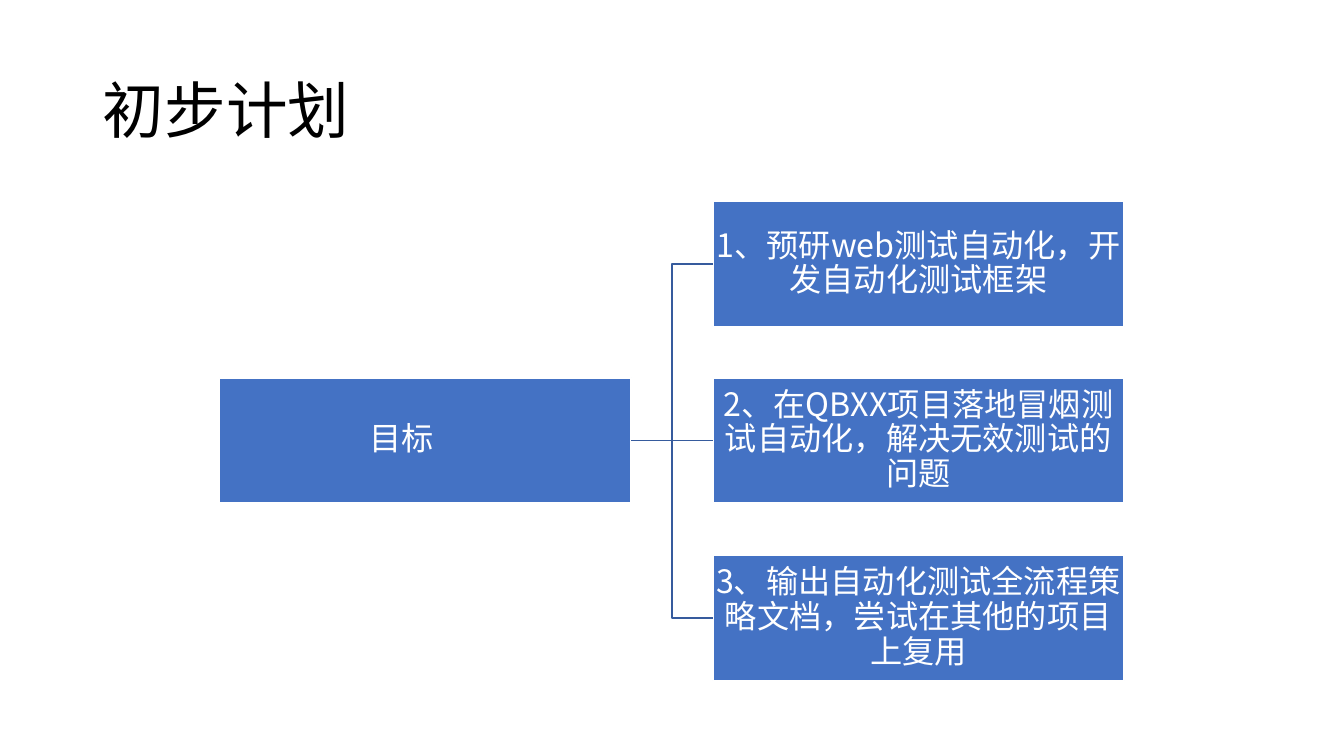
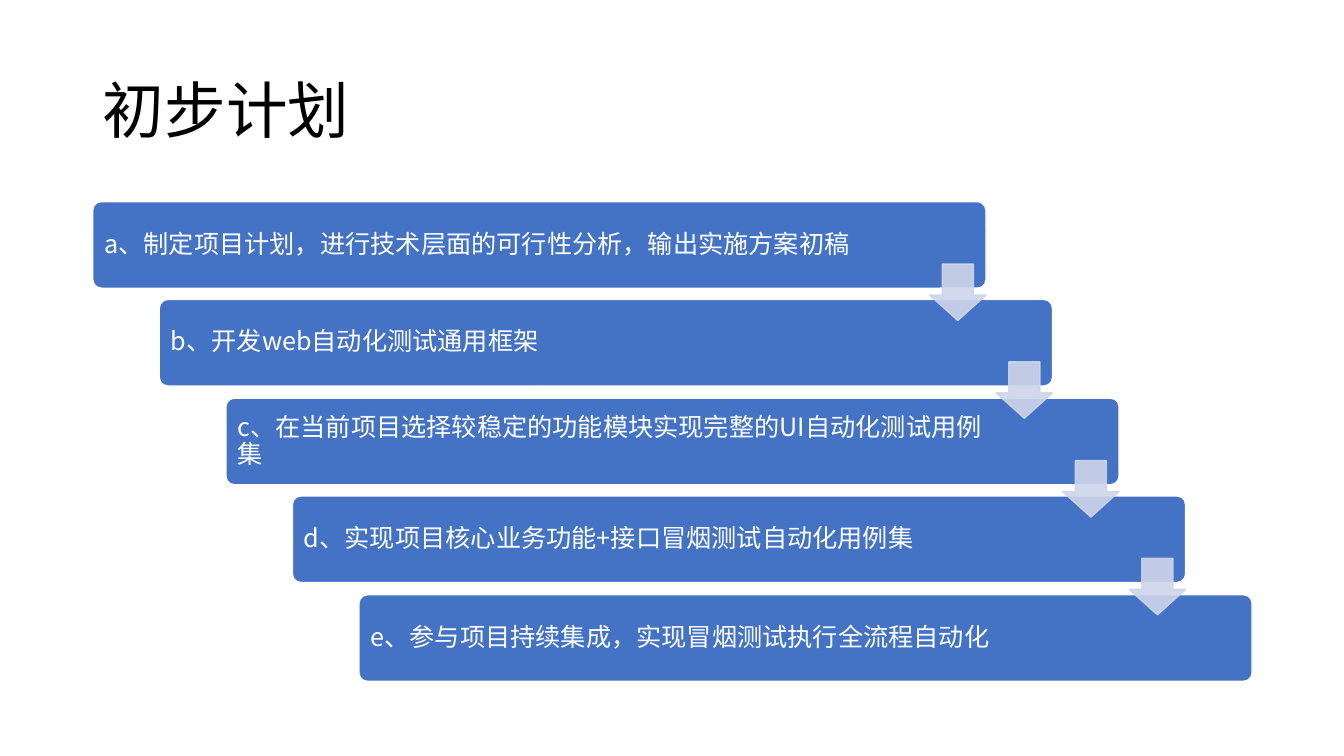
from lxml import etree
from pptx import Presentation
from pptx.dml.color import RGBColor
from pptx.enum import shapes, text
from pptx.oxml import ns
from pptx.util import Pt

PX = 9144  # EMU per px, 100 px to the inch
FONT = "Noto Sans CJK SC"
BLACK = RGBColor(0x00, 0x00, 0x00)
WHITE = RGBColor(0xFF, 0xFF, 0xFF)
BLUE = RGBColor(0x44, 0x72, 0xC4)
LINE_BLUE = RGBColor(0x36, 0x5B, 0x9D)
PALE_BLUE = RGBColor(0xCF, 0xD5, 0xEA)

TITLE = "初步计划"
GOAL = "目标"
TARGETS = [
    "1、预研web测试自动化，开发自动化测试框架",
    "2、在QBXX项目落地冒烟测试自动化，解决无效测试的问题",
    "3、输出自动化测试全流程策略文档，尝试在其他的项目上复用",
]
STEPS = [
    "a、制定项目计划，进行技术层面的可行性分析，输出实施方案初稿",
    "b、开发web自动化测试通用框架",
    "c、在当前项目选择较稳定的功能模块实现完整的UI自动化测试用例集",
    "d、实现项目核心业务功能+接口冒烟测试自动化用例集",
    "e、参与项目持续集成，实现冒烟测试执行全流程自动化",
]


def px(*lengths):
    return [length * PX for length in lengths]


def spread(first, last, count):
    """Whole-px positions at equal distances from first to last."""
    return [first + (last - first) * i // (count - 1) for i in range(count)]


def write(frame, words, size, color, align, insets):
    """Fill a text frame; insets are left, top, right, bottom."""
    frame.text = words
    frame.word_wrap = True
    frame.auto_size = text.MSO_AUTO_SIZE.NONE
    frame.vertical_anchor = text.MSO_ANCHOR.MIDDLE
    (frame.margin_left, frame.margin_top,
     frame.margin_right, frame.margin_bottom) = px(*insets)
    paragraph = frame.paragraphs[0]
    paragraph.alignment = align
    paragraph.line_spacing = 0.9
    font = paragraph.runs[0].font
    font.size = Pt(size)
    font.name = FONT
    font.color.rgb = color
    east_asian = etree.SubElement(paragraph.runs[0].font._element, ns.qn("a:ea"))
    east_asian.set("typeface", FONT)


def add_titled_slide(deck):
    slide = deck.slides.add_slide(deck.slide_layouts[5])
    title = slide.shapes.title
    title.left, title.top, title.width, title.height = px(92, 40, 1150, 145)
    write(title.text_frame, TITLE, 44, BLACK, text.PP_ALIGN.LEFT, (10, 5, 10, 5))
    return slide


def add_block(slide, kind, box, fill, line, adjustments=()):
    block = slide.shapes.add_shape(kind, *px(*box))
    block.shadow.inherit = False
    block.fill.solid()
    block.fill.fore_color.rgb = fill
    block.line.color.rgb = line
    block.line.width = Pt(1)
    for i, value in enumerate(adjustments):
        block.adjustments[i] = value
    return block


def add_plan_box(slide, left, top, words, right_inset=2):
    box = add_block(slide, shapes.MSO_SHAPE.RECTANGLE,
                    (left, top, 408, 124), BLUE, WHITE)
    write(box.text_frame, words, 23, WHITE, text.PP_ALIGN.CENTER,
          (2, 2, right_inset, 2))
    return box


def add_branch(slide, goal, target):
    level = goal.top == target.top
    kind = shapes.MSO_CONNECTOR.STRAIGHT if level else shapes.MSO_CONNECTOR.ELBOW
    branch = slide.shapes.add_connector(kind, 0, 0, 0, 0)
    branch.begin_connect(goal, 3)
    branch.end_connect(target, 1)
    branch.line.color.rgb = LINE_BLUE
    branch.line.width = Pt(1)
    etree.SubElement(branch._element.spPr, ns.qn("a:effectLst"))


def add_step(slide, left, top, words, right_inset):
    step = add_block(slide, shapes.MSO_SHAPE.ROUNDED_RECTANGLE,
                     (left, top, 886, 86), BLUE, WHITE, [0.1])
    write(step.text_frame, words, 18, WHITE, text.PP_ALIGN.LEFT,
          (9, 9, right_inset, 9))


def add_step_arrow(slide, left, top):
    arrow = add_block(slide, shapes.MSO_SHAPE.DOWN_ARROW,
                      (left, top, 56, 56), PALE_BLUE, PALE_BLUE, [0.55, 0.45])
    for color in arrow._element.spPr.iter(ns.qn("a:srgbClr")):
        etree.SubElement(color, ns.qn("a:alpha")).set("val", "90000")


def build_goal_slide(deck):
    slide = add_titled_slide(deck)
    tops = spread(200, 551, len(TARGETS))
    # The wide right inset moves the goal's label left of centre
    goal = add_plan_box(slide, 218, tops[1], GOAL, right_inset=49)
    for top, words in zip(tops, TARGETS):
        add_branch(slide, goal, add_plan_box(slide, 707, top, words))


def build_steps_slide(deck):
    slide = add_titled_slide(deck)
    lefts = spread(92, 356, len(STEPS))
    tops = spread(200, 590, len(STEPS))
    # The first step has a wider text area than the others
    for i, words in enumerate(STEPS):
        add_step(slide, lefts[i], tops[i], words, 132 if i else 108)
    # Arrows lie over the gap between neighbouring steps
    for left, top in zip(lefts[:-1], tops):
        add_step_arrow(slide, left + 830, top + 62)


def main():
    deck = Presentation()
    deck.slide_width, deck.slide_height = px(1333, 750)
    build_goal_slide(deck)
    build_steps_slide(deck)
    deck.save("out.pptx")


if __name__ == "__main__":
    main()
